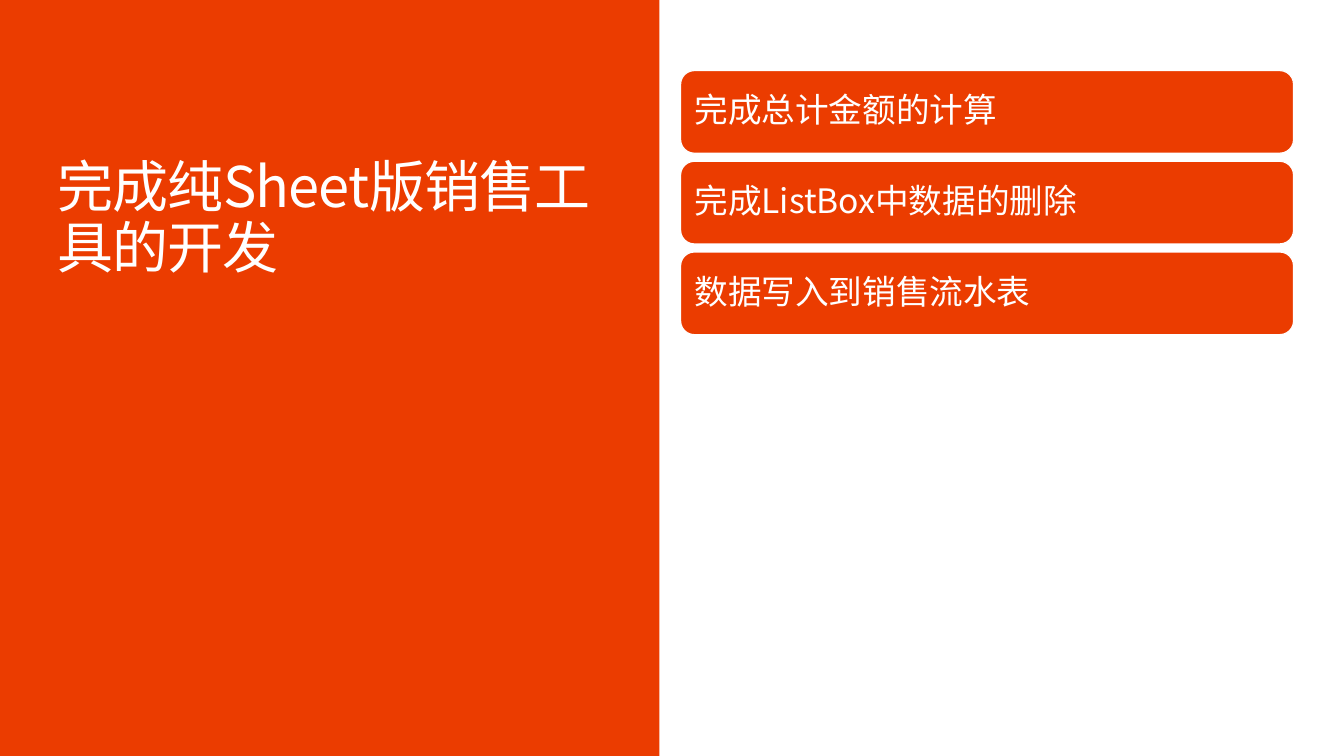
from typing import NamedTuple

from lxml.etree import SubElement
from pptx import Presentation
from pptx.dml.color import RGBColor
from pptx.enum.shapes import MSO_SHAPE as Preset
from pptx.enum.text import MSO_ANCHOR as Anchor, PP_ALIGN as Align
from pptx.oxml.ns import qn
from pptx.shapes.autoshape import Shape
from pptx.slide import Slide
from pptx.util import Inches, Pt

COLORS = {"accent": "EB3C00", "white": "FFFFFF"}
FONT = "Noto Sans CJK SC"
LINE_SPACING = 0.9


class Box(NamedTuple):
    left: float
    top: float
    width: float
    height: float


class Task(NamedTuple):
    text: str
    box: Box


def color(name: str) -> RGBColor:
    return RGBColor.from_string(COLORS[name])


def write_text(shape: Shape, text: str, *, size: float, margin: float = 0,
               anchor: Anchor = Anchor.TOP, tracking: float = 0) -> None:
    frame = shape.text_frame
    frame.word_wrap = True
    frame.vertical_anchor = anchor
    frame.margin_left = frame.margin_right = Inches(margin)
    frame.margin_top = frame.margin_bottom = Inches(margin)
    paragraph = frame.paragraphs[0]
    paragraph.alignment = Align.LEFT
    paragraph.line_spacing = LINE_SPACING
    run = paragraph.add_run()
    run.text = text
    run.font.name = FONT
    run.font.size = Pt(size)
    run.font.color.rgb = color("white")
    properties = run._r.get_or_add_rPr()
    SubElement(properties, qn("a:ea"), typeface=FONT)
    if tracking:
        properties.set("spc", str(round(tracking * 100)))


def add_panel(slide: Slide, preset: Preset, box: Box, *, outlined: bool = False) -> Shape:
    panel = slide.shapes.add_shape(preset, *map(Inches, box))
    panel.shadow.inherit = False
    panel.fill.solid()
    panel.fill.fore_color.rgb = color("accent")
    if outlined:
        panel.line.color.rgb = color("white")
        panel.line.width = Pt(0.85)
    else:
        panel.line.fill.background()
    return panel


def add_task(slide: Slide, task: Task) -> None:
    card = add_panel(slide, Preset.ROUNDED_RECTANGLE, task.box, outlined=True)
    write_text(card, task.text, size=24, margin=0.1, anchor=Anchor.MIDDLE)


def main() -> None:
    deck = Presentation()
    deck.slide_width, deck.slide_height = Inches(13.33), Inches(7.5)
    slide = deck.slides.add_slide(deck.slide_layouts[6])

    add_panel(slide, Preset.RECTANGLE, Box(-0.01, 0, 6.55, 7.5))
    headline = slide.shapes.add_textbox(*map(Inches, Box(0.57, 1.58, 5.72, 1.82)))
    write_text(headline, "完成纯Sheet版销售工具的开发", size=40, tracking=-0.7)

    goals = ["完成总计金额的计算", "完成ListBox中数据的删除", "数据写入到销售流水表"]
    for row, goal in enumerate(goals):
        add_task(slide, Task(goal, Box(6.75, 0.7 + 0.9 * row, 6.08, 0.82)))

    deck.save("out.pptx")


if __name__ == "__main__":
    main()
